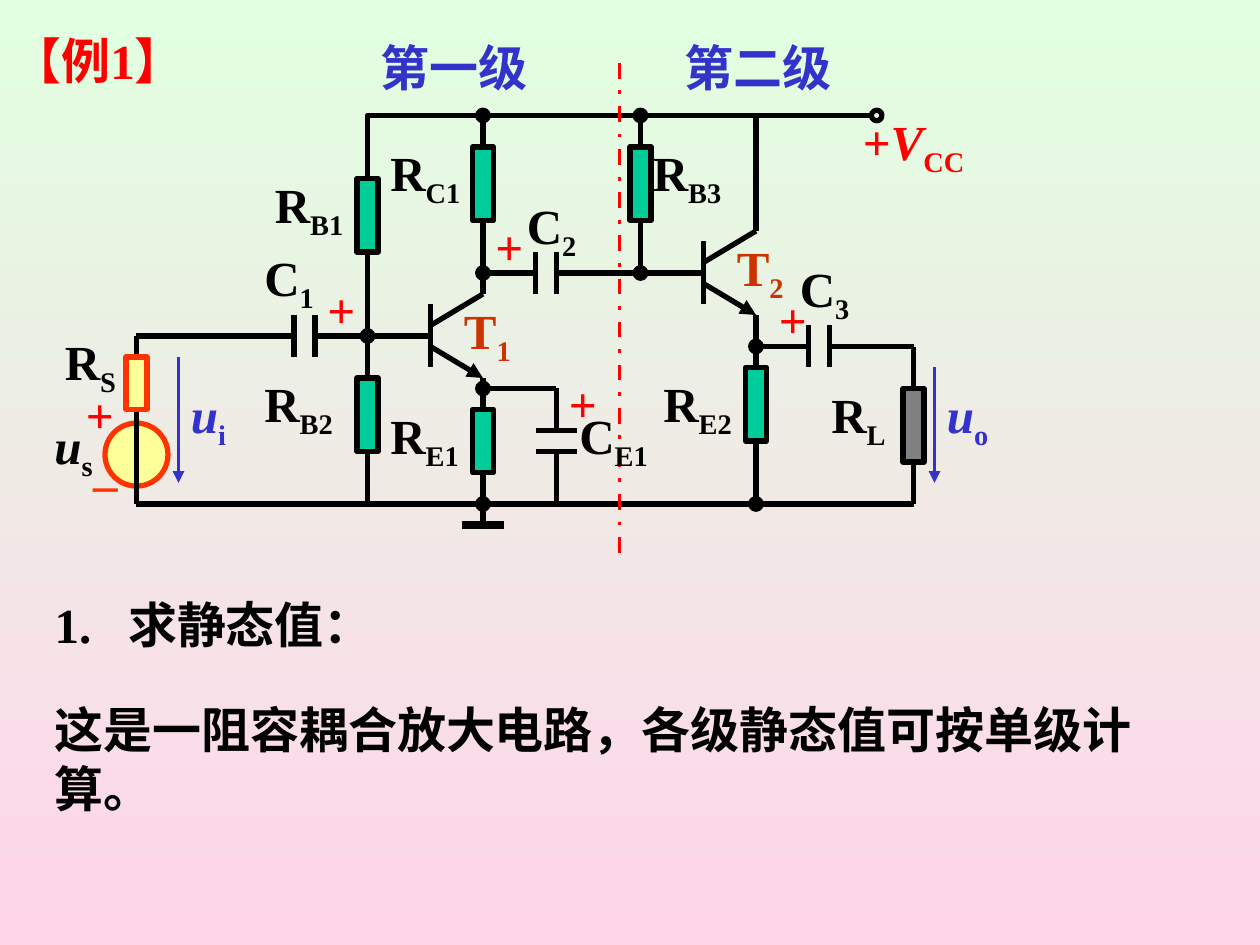
from lxml import etree
from pptx import Presentation
from pptx import util as u
from pptx.dml.color import RGBColor
from pptx.enum import dml, shapes, text
from pptx.oxml.ns import qn

BLACK = RGBColor(0, 0, 0)
RED = RGBColor(0xFF, 0, 0)
BLUE = RGBColor(0x33, 0x33, 0xCC)
RUST = RGBColor(0xCC, 0x33, 0)
ORANGE = RGBColor(0xFF, 0x33, 0)
YELLOW = RGBColor(0xFF, 0xFF, 0x99)
GREEN = RGBColor(0, 0xCC, 0x99)
GRAY = RGBColor(0x80, 0x80, 0x80)
MINT = RGBColor(0xE1, 0xFF, 0xE1)
PINK = RGBColor(0xFF, 0xD5, 0xEA)
FONT = "Times New Roman"

# Content; all places are in grid cells, twelve to the inch
HEADING = "【例1】"
BODY = [("1.\t求静态值：", 7), ("这是一阻容耦合放大电路，各级静态值可按单级计算。", 0)]  # words, hang
STAGES = [("第一级", 43.2), ("第二级", 72.2)]  # words, centre

TOP, BOTTOM = 11, 48  # supply rail and common rail
RAIL_PATH = [(35, BOTTOM), (35, TOP), (83, TOP)]
WIRES = [  # x1, y1, x2, y2
    (13, BOTTOM, 87, BOTTOM), (13, 32, 13, BOTTOM),
    (13, 32, 28, 32), (30, 32, 41, 32),
    (46, TOP, 46, 28), (46, 36, 46, 50), (46, 26, 51, 26),
    (46, 37, 53, 37), (53, 37, 53, 41), (53, 43, 53, BOTTOM),
    (61, TOP, 61, 26), (53, 26, 67, 26),
    (72, TOP, 72, 22), (72, 30, 72, BOTTOM),
    (72, 33, 77, 33), (79, 33, 87, 33), (87, 33, 87, BOTTOM),
]
TRANSISTORS = [(41, 32), (67, 26)]             # base point
CAPACITORS = [(29, 32), (52, 26), (78, 33)]    # centre
BYPASS = (53, 42)
RESISTORS = [  # centre x, top, height, fill, line
    (35, 17, 7, GREEN, BLACK), (35, 36, 7, GREEN, BLACK),
    (46, 14, 7, GREEN, BLACK), (46, 39, 6, GREEN, BLACK),
    (61, 14, 7, GREEN, BLACK), (72, 35, 7, GREEN, BLACK),
    (87, 37, 7, GRAY, BLACK), (13, 34, 5, YELLOW, ORANGE),
]
JUNCTIONS = [(35, 32), (46, TOP), (46, 26), (46, 37), (46, BOTTOM),
             (61, TOP), (61, 26), (72, 33), (72, BOTTOM)]
VOLTAGE_ARROWS = [(17, 34, 46), (89, 35, 46)]  # x, from y, to y

SYMBOLS = [  # letter, subscript, x, y, width, colour
    ("R", "B1", 25, 16, 12, BLACK), ("R", "B2", 24, 35, 12, BLACK),
    ("R", "C1", 36, 13, 12, BLACK), ("R", "E1", 36, 38, 12, BLACK),
    ("R", "B3", 61, 13, 12, BLACK), ("R", "E2", 62, 35, 12, BLACK),
    ("R", "L", 78, 36, 12, BLACK), ("R", "S", 5, 31, 12, BLACK),
    ("C", "1", 24, 23, 9, BLACK), ("C", "2", 49, 18, 9, BLACK),
    ("C", "3", 75, 24, 9, BLACK), ("C", "E1", 54, 38, 10, BLACK),
    ("T", "1", 43, 28, 12, RUST), ("T", "2", 69, 22, 12, RUST),
    ("u", "s", 4, 39, 9, BLACK), ("u", "i", 17, 36, 9, BLUE),
    ("u", "o", 89, 36, 9, BLUE), ("+V", "CC", 81, 10, 19, RED),
]
PLUS_SIGNS = [(7, 36), (30, 26), (46, 20), (53, 35), (73, 27)]


def cell(n):
    return u.Inches(n / 12)


def add_run(paragraph, words, color, italic=False, subscript=False):
    run = paragraph.add_run()
    run.text = words
    font = run.font
    font.name, font.size, font.bold, font.italic = FONT, u.Pt(28), True, italic
    font.color.rgb = color
    if subscript:
        run._r.get_or_add_rPr().set("baseline", "-25000")


def add_label(x, y, width, height, wrap=True):
    frame = slide.shapes.add_textbox(*map(cell, (x, y, width, height))).text_frame
    frame.word_wrap = wrap
    return frame.paragraphs[0]


def add_line(x1, y1, x2, y2, color=BLACK, weight=3, arrow=False):
    line = slide.shapes.add_connector(
        shapes.MSO_CONNECTOR.STRAIGHT, *map(cell, (x1, y1, x2, y2)))
    line.line.color.rgb = color
    line.line.width = u.Pt(weight)
    if arrow:
        etree.SubElement(line.line._get_or_add_ln(), qn("a:tailEnd"), type="triangle")
    etree.SubElement(line._element.spPr, qn("a:effectLst"))
    return line


def style(shape, fill, color):
    shape.shadow.inherit = False
    if fill is None:
        shape.fill.background()
    else:
        shape.fill.solid()
        shape.fill.fore_color.rgb = fill
    shape.line.color.rgb = color
    shape.line.width = u.Pt(3)


def add_part(kind, x, y, width, height, fill, color=BLACK):
    """Preset shape centred on column x with its top at y."""
    part = slide.shapes.add_shape(kind, *map(cell, (x - width / 2, y, width, height)))
    style(part, fill, color)


def place(holder, x, y, width, height):
    holder.left, holder.top, holder.width, holder.height = map(
        cell, (x, y, width, height))
    frame = holder.text_frame
    frame.word_wrap = True
    frame.auto_size = text.MSO_AUTO_SIZE.NONE
    frame.vertical_anchor = text.MSO_ANCHOR.TOP
    return frame


prs = Presentation()
prs.slide_width, prs.slide_height = u.Inches(10), u.Inches(7.5)
slide = prs.slides.add_slide(prs.slide_layouts[1])
RECT, OVAL = shapes.MSO_SHAPE.RECTANGLE, shapes.MSO_SHAPE.OVAL

# Background
backdrop = slide.background.fill
backdrop.gradient()
backdrop.gradient_angle = 270
for stop, color in zip(backdrop.gradient_stops, (MINT, PINK)):
    stop.color.rgb = color

# Heading and explanation
heading = place(slide.shapes.title, 0, 2.3, 22.2, 6.8).paragraphs[0]
heading.alignment = text.PP_ALIGN.LEFT
add_run(heading, HEADING, RED)
explanation = place(slide.placeholders[1], 4, 56, 109, 23)
for i, (words, hang) in enumerate(BODY):
    paragraph = explanation.paragraphs[0] if i == 0 else explanation.add_paragraph()
    pPr = paragraph._p.get_or_add_pPr()
    pPr.set("marL", str(cell(hang)))
    pPr.set("indent", str(-cell(hang)))
    etree.SubElement(pPr, qn("a:buNone"))
    paragraph.space_before = u.Pt(26.5 * i)
    add_run(paragraph, words, BLACK)

# Signal source and wiring
add_part(OVAL, 13, 40.3, 6, 6, YELLOW, ORANGE)
builder = slide.shapes.build_freeform(*map(cell, RAIL_PATH[0]))
builder.add_line_segments([tuple(map(cell, p)) for p in RAIL_PATH[1:]], close=False)
style(builder.convert_to_shape(), None, BLACK)
for wire in WIRES:
    add_line(*wire)
add_line(44, 50, 48, 50, weight=4.5)  # ground

# Transistors and capacitors
for x, y in TRANSISTORS:
    add_line(x, y - 3, x, y + 3)
    add_line(x, y - 1, x + 5, y - 4)
    add_line(x, y + 1, x + 5, y + 4, arrow=True)
for x, y in CAPACITORS:
    for side in (-1, 1):
        add_line(x + side, y - 2, x + side, y + 2)
for side in (-1, 1):
    add_line(BYPASS[0] - 2, BYPASS[1] + side, BYPASS[0] + 2, BYPASS[1] + side)

# Resistors, junctions and supply terminal
for x, top, height, fill, color in RESISTORS:
    add_part(RECT, x, top, 2, height, fill, color)
for x, y in JUNCTIONS:
    add_part(OVAL, x, y - 0.5, 1, 1, BLACK)
add_part(OVAL, 83.5, TOP - 0.5, 1, 1, None)

# Voltage arrows and stage divider
for x, start, end in VOLTAGE_ARROWS:
    add_line(x, start, x, end, BLUE, 2.25, arrow=True)
add_line(59, 6, 59, 53, RED, 2.25).line.dash_style = dml.MSO_LINE.DASH_DOT

# Labels
for words, centre in STAGES:
    stage = add_label(centre - 9, 3, 18, 6.8)
    stage.alignment = text.PP_ALIGN.CENTER
    add_run(stage, words, BLUE)
for letters, subscript, x, y, width, color in SYMBOLS:
    symbol = add_label(x, y, width, 7.5)
    for letter in letters:
        add_run(symbol, letter, color, italic=letter in "uV")
    add_run(symbol, subscript, color, subscript=True)
for x, y in PLUS_SIGNS:
    add_run(add_label(x, y, 4, 6.8), "+", RED)
add_run(add_label(8, 41, 4.7, 6.8, wrap=False), "_", ORANGE, italic=True)

prs.save("out.pptx")
